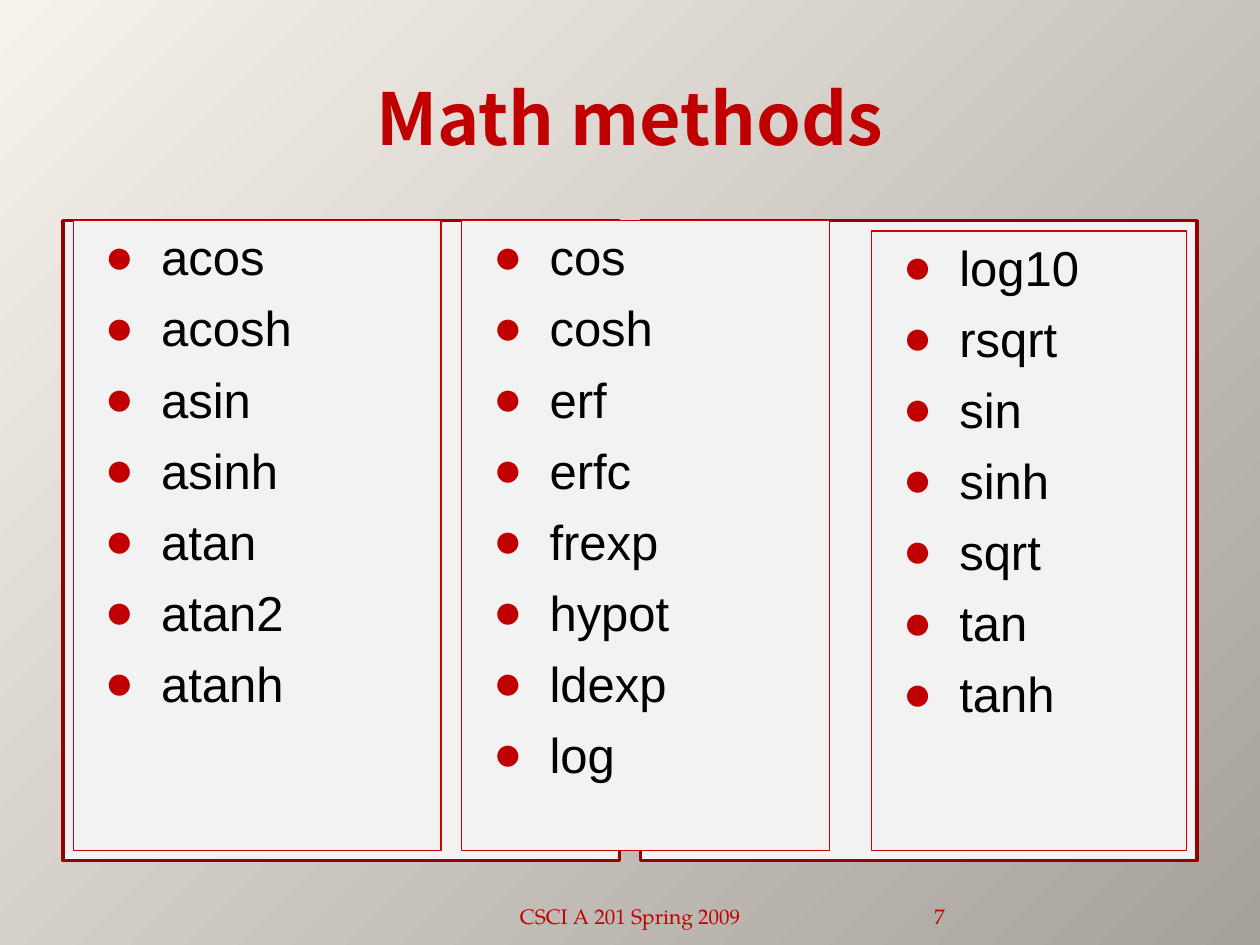
from dataclasses import dataclass

from lxml.etree import SubElement
from pptx import Presentation
from pptx.dml.color import RGBColor
from pptx.enum.shapes import MSO_SHAPE as Shape
from pptx.enum.text import MSO_ANCHOR as Anchor, PP_ALIGN as Align
from pptx.oxml.ns import qn
from pptx.util import Cm, Pt

COLORS = {
    "light": "F7F3EC",
    "dark": "A6A29B",
    "panel": "F2F2F2",
    "frame": "970000",
    "border": "CC0000",
    "accent": "C00000",
    "text": "000000",
}


@dataclass
class Area:
    left: float
    top: float
    width: float
    height: float

    def lengths(self) -> list:
        return [Cm(value) for value in (self.left, self.top, self.width, self.height)]


@dataclass
class MethodList:
    area: Area
    names: str


@dataclass
class FooterText:
    area: Area
    text: str
    align: Align
    side_inset: float


FRAMES = [Area(left, 4.45, 11.22, 12.9) for left in (1.27, 12.91)]
METHOD_LISTS = [
    MethodList(Area(1.48, 4.45, 7.41, 12.7), "acos acosh asin asinh atan atan2 atanh"),
    MethodList(Area(17.57, 4.66, 6.35, 12.49), "log10 rsqrt sin sinh sqrt tan tanh"),
    MethodList(Area(9.31, 4.45, 7.41, 12.7), "cos cosh erf erfc frexp hypot ldexp log"),
]
FOOTERS = [
    FooterText(Area(8.68, 17.83, 8.05, 1.02), "CSCI A 201 Spring 2009", Align.CENTER, 0.25),
    FooterText(Area(16.93, 17.83, 2.12, 1.02), "7", Align.RIGHT, 0),
]


def color(name: str) -> RGBColor:
    return RGBColor.from_string(COLORS[name])


def style_font(para, typeface: str, size: float, color_name: str, bold: bool = False) -> None:
    para.font.name = typeface
    para.font.size = Pt(size)
    para.font.bold = bold
    para.font.color.rgb = color(color_name)


def paint_background(page) -> None:
    fill = page.background.fill
    fill.gradient()
    fill.gradient_angle = 315
    for stop, name in zip(fill.gradient_stops, ("light", "dark")):
        stop.color.rgb = color(name)


def add_panel(page, area: Area, line_color: str, line_width: float):
    panel = page.shapes.add_shape(Shape.RECTANGLE, *area.lengths())
    panel.shadow.inherit = False
    panel.fill.solid()
    panel.fill.fore_color.rgb = color("panel")
    panel.line.color.rgb = color(line_color)
    panel.line.width = Pt(line_width)
    return panel


def add_bullet(para) -> None:
    properties = para._p.get_or_add_pPr()
    properties.set("marL", str(Cm(1.52)))
    properties.set("indent", str(Cm(-1.14)))
    bullet_color = SubElement(properties, qn("a:buClr"))
    SubElement(bullet_color, qn("a:srgbClr"), val=COLORS["accent"])
    SubElement(properties, qn("a:buFont"), typeface="Arial")
    SubElement(properties, qn("a:buChar"), char="●")


def add_method_list(page, methods: MethodList) -> None:
    frame = add_panel(page, methods.area, "border", 0.75).text_frame
    frame.word_wrap = True
    frame.vertical_anchor = Anchor.TOP
    for index, name in enumerate(methods.names.split()):
        para = frame.add_paragraph() if index else frame.paragraphs[0]
        para.text = name
        add_bullet(para)
        para.alignment = Align.LEFT
        para.space_before = Pt(7 if index else 0)
        style_font(para, "Arial", 28, "text")


def add_footer(page, footer: FooterText) -> None:
    frame = page.shapes.add_textbox(*footer.area.lengths()).text_frame
    frame.word_wrap = True
    frame.vertical_anchor = Anchor.BOTTOM
    frame.margin_left = frame.margin_right = Cm(footer.side_inset)
    para = frame.paragraphs[0]
    para.text = footer.text
    para.alignment = footer.align
    style_font(para, "TeX Gyre Pagella", 12, "accent")


def set_title(page, text: str, area: Area) -> None:
    title = page.shapes.title
    title.left, title.top, title.width, title.height = area.lengths()
    title.text_frame.vertical_anchor = Anchor.MIDDLE
    para = title.text_frame.paragraphs[0]
    para.text = text
    para.alignment = Align.CENTER
    style_font(para, "Noto Sans CJK SC", 41, "accent", bold=True)


def main() -> None:
    deck = Presentation()
    deck.slide_width, deck.slide_height = Cm(25.4), Cm(19.05)
    page = deck.slides.add_slide(deck.slide_layouts[5])
    paint_background(page)
    set_title(page, "Math methods", Area(1.27, 0.76, 22.86, 3.18))
    for area in FRAMES:
        add_panel(page, area, "frame", 2)
    for methods in METHOD_LISTS:
        add_method_list(page, methods)
    for footer in FOOTERS:
        add_footer(page, footer)
    deck.save("out.pptx")


if __name__ == "__main__":
    main()
